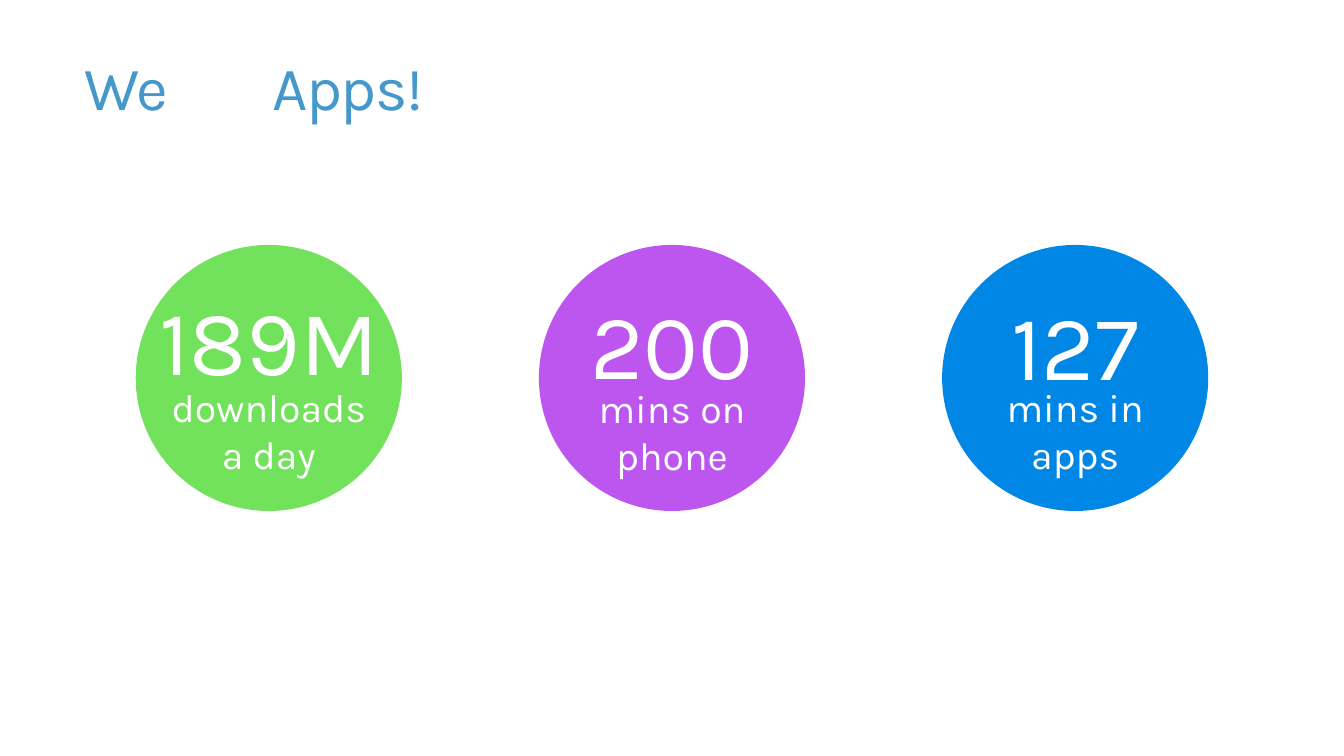
from dataclasses import dataclass

from pptx import Presentation
from pptx.dml.color import RGBColor
from pptx.enum.shapes import MSO_SHAPE as Shape
from pptx.enum.text import MSO_ANCHOR as Anchor, MSO_AUTO_SIZE as AutoSize, PP_ALIGN as Align
from pptx.oxml.ns import qn
from pptx.shapes.group import GroupShape
from pptx.slide import Slide
from pptx.text.text import TextFrame, _Paragraph as Paragraph
from pptx.util import Inches, Pt
from lxml.etree import SubElement

WIDTH, HEIGHT = Inches(13.33), Inches(7.5)
COLORS = {"title": "4598CB", "downloads": "72E15B", "phone": "BD56EE",
          "apps": "0087E5", "text": "FFFFFF"}


@dataclass
class Statistic:
    """A figure in a circle; centres are percentages of the slide's size."""
    number: str
    caption: list[str]
    color: str
    center_x: float
    number_y: float
    caption_y: float


STATISTICS = [
    Statistic("189M", ["downloads", "a day"], "downloads", 20, 44.8, 56.9),
    Statistic("200", ["mins on phone"], "phone", 50, 45.3, 57),
    Statistic("127", ["mins in", "apps"], "apps", 80, 45.5, 56.9),
]
DIAMETER = across_circle = 19.8  # percent of the slide's width
NUMBER_HEIGHT, CAPTION_HEIGHT = 16.25, 14  # percent of the slide's height


def across(percent: float) -> int:
    return round(WIDTH * percent / 100)


def down(percent: float) -> int:
    return round(HEIGHT * percent / 100)


def format_frame(frame: TextFrame, anchor: Anchor, size: AutoSize,
                 inset_x: float, inset_y: float) -> None:
    values = {"word_wrap": True, "auto_size": size, "vertical_anchor": anchor,
              "margin_left": Inches(inset_x), "margin_right": Inches(inset_x),
              "margin_top": Inches(inset_y), "margin_bottom": Inches(inset_y)}
    for name, value in values.items():
        setattr(frame, name, value)


def write(paragraph: Paragraph, text: str, size: float, color: str, align: Align) -> None:
    paragraph.alignment = align
    run = paragraph.add_run()
    run.text = text
    for name, value in {"name": "Karla", "size": Pt(size)}.items():
        setattr(run.font, name, value)
    run.font.color.rgb = RGBColor.from_string(COLORS[color])


def add_label(group: GroupShape, lines: list[str], size: float,
              center_x: float, center_y: float, height: float) -> None:
    box = group.shapes.add_textbox(across(center_x - DIAMETER / 2), down(center_y - height / 2),
                                   across(DIAMETER), down(height))
    frame = box.text_frame
    format_frame(frame, Anchor.MIDDLE, AutoSize.SHAPE_TO_FIT_TEXT, 0.06, 0.06)
    for index, line in enumerate(lines):
        paragraph = frame.add_paragraph() if index else frame.paragraphs[0]
        write(paragraph, line, size, "text", Align.CENTER)


def add_statistic(slide: Slide, statistic: Statistic) -> None:
    group = slide.shapes.add_group_shape()
    diameter = across(DIAMETER)
    circle = group.shapes.add_shape(Shape.OVAL, across(statistic.center_x) - diameter // 2,
                                    down(50) - diameter // 2, diameter, diameter)
    circle.shadow.inherit = False
    circle.fill.solid()
    circle.fill.fore_color.rgb = RGBColor.from_string(COLORS[statistic.color])
    circle.line.fill.background()
    add_label(group, [statistic.number], 66, statistic.center_x, statistic.number_y, NUMBER_HEIGHT)
    add_label(group, statistic.caption, 28, statistic.center_x, statistic.caption_y, CAPTION_HEIGHT)


def add_title(slide: Slide) -> None:
    title = slide.shapes.title
    place = {"left": across(5.1), "top": down(3.33), "width": across(86.27), "height": down(14.4)}
    for name, value in place.items():
        setattr(title, name, value)
    format_frame(title.text_frame, Anchor.BOTTOM, AutoSize.NONE, 0.16, 0.1)
    paragraph = title.text_frame.paragraphs[0]
    paragraph.line_spacing = 0.9
    # A tab stop holds the gap between the two words
    tabs = SubElement(paragraph._p.get_or_add_pPr(), qn("a:tabLst"))
    SubElement(tabs, qn("a:tab"), pos=str(Inches(1.86)), algn="l")
    write(paragraph, "We\tApps!", 44, "title", Align.LEFT)
    paragraph.runs[0].font._element.set("spc", "-100")


def main() -> None:
    presentation = Presentation()
    presentation.slide_width, presentation.slide_height = WIDTH, HEIGHT
    slide = presentation.slides.add_slide(presentation.slide_layouts[5])
    add_title(slide)
    for statistic in STATISTICS:
        add_statistic(slide, statistic)
    presentation.save("out.pptx")


if __name__ == "__main__":
    main()
